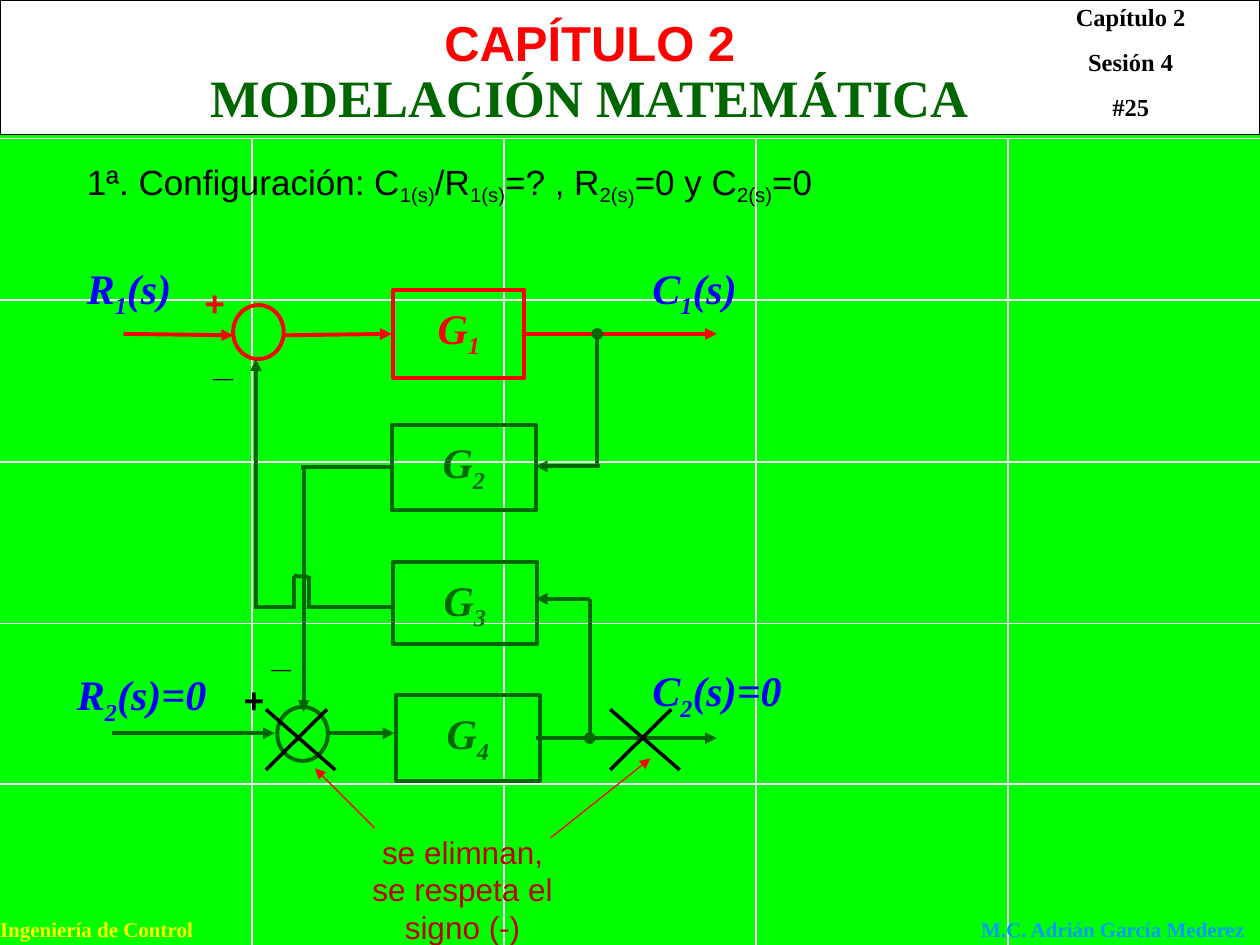
from lxml import etree
from pptx import Presentation
from pptx.dml.color import RGBColor
from pptx.enum import shapes, text
from pptx.oxml import ns
from pptx.util import Cm, Pt

RED = RGBColor(0xFF, 0x00, 0x00)
DARK_RED = RGBColor(0xC0, 0x00, 0x00)
GREEN = RGBColor(0x00, 0x66, 0x00)
LIME = RGBColor(0x00, 0xFF, 0x00)
BLUE = RGBColor(0x00, 0x00, 0xFF)
SKY = RGBColor(0x00, 0x99, 0xFF)
YELLOW = RGBColor(0xFF, 0xFF, 0x00)
BLACK = RGBColor(0x00, 0x00, 0x00)
WHITE = RGBColor(0xFF, 0xFF, 0xFF)
SERIF, SANS = "Times New Roman", "Arial"
LEFT, CENTER = text.PP_ALIGN.LEFT, text.PP_ALIGN.CENTER

prs = Presentation()
prs.slide_width, prs.slide_height = Cm(25.4), Cm(19.05)
s = prs.slides.add_slide(prs.slide_layouts[6])
s.background.fill.solid()
s.background.fill.fore_color.rgb = LIME


def write(sp, paragraphs, size, font, color, bold=False, italic=False, align=LEFT, gap=0):
    """Each paragraph is a list of (text, baseline percent) parts."""
    tf = sp.text_frame
    tf.word_wrap = True
    tf.vertical_anchor = text.MSO_ANCHOR.TOP
    for i, parts in enumerate(paragraphs):
        p = tf.add_paragraph() if i else tf.paragraphs[0]
        p.alignment = align
        if i:
            p.space_before = Pt(gap)
        for words, base in parts:
            r = p.add_run()
            r.text = words
            r.font.size, r.font.name = Pt(size), font
            r.font.bold, r.font.italic = bold, italic
            r.font.color.rgb = color
            if base:
                r.font._element.set("baseline", str(base * 1000))


def line(x1, y1, x2, y2, color, width, end=None):
    c = s.shapes.add_connector(shapes.MSO_CONNECTOR.STRAIGHT, Cm(x1), Cm(y1), Cm(x2), Cm(y2))
    c.line.color.rgb = color
    c.line.width = Pt(width)
    if end:
        etree.SubElement(c.line._get_or_add_ln(), ns.qn("a:tailEnd"), type=end)
    etree.SubElement(c._element.spPr, ns.qn("a:effectLst"))


# Background grid
for i in range(1, 5):
    line(5.08 * i, 2.79, 5.08 * i, 19.05, WHITE, 1)
for y in (2.79, 6.05, 9.32, 12.57, 15.8):
    line(0, y, 25.4, y, WHITE, 1)

# Banner
sp = s.shapes.add_shape(shapes.MSO_SHAPE.RECTANGLE, 0, 0, Cm(25.4), Cm(2.72))
sp.shadow.inherit = False
sp.fill.solid()
sp.fill.fore_color.rgb = WHITE
sp.line.color.rgb = BLACK
sp.line.width = Pt(0.75)

# Page texts: left, top, width, height, paragraphs, size, font, color, bold, align
heading = [("1ª. Configuración: C", 0), ("1(s)", -20), ("/R", 0), ("1(s)", -20), ("=? , R", 0),
           ("2(s", -20), (")", -25), ("=0 y C", 0), ("2(s)", -20), ("=0", 0)]
session = [[("Capítulo 2", 0)], [("Sesión 4", 0)], [("#25", 0)]]
for x, y, w, h, paragraphs, size, font, color, bold, align in (
    (-0.3, 18.36, 4.5, 0.76, [[("Ingeniería de Control", 0)]], 12, SERIF, YELLOW, True, CENTER),
    (19.53, 18.36, 5.87, 0.76, [[("M.C. Adrián García Mederez", 0)]], 12, SERIF, SKY, True, LEFT),
    (20.7, -0.08, 4.19, 2.67, session, 14, SERIF, BLACK, True, CENTER),
    (2.29, 0.13, 19.2, 1.45, [[("CAPÍTULO 2", 0)]], 28, SANS, RED, True, CENTER),
    (2.29, 1.19, 19.2, 1.52, [[("MODELACIÓN MATEMÁTICA", 0)]], 30, SERIF, GREEN, True, CENTER),
    (1.5, 3.12, 16, 1.22, [heading], 20, SANS, BLACK, False, LEFT),
    (7.14, 16.66, 4.37, 2.54, [[("se elimnan, se respeta el signo (-)", 0)]],
     18, SANS, DARK_RED, False, CENTER),
):
    sp = s.shapes.add_textbox(Cm(x), Cm(y), Cm(w), Cm(h))
    write(sp, paragraphs, size, font, color, bold, align=align, gap=8.8)

# Transfer function blocks
for number, x, y, w, h, color in (
    ("1", 7.93, 5.84, 2.64, 1.78, RED),
    ("2", 7.9, 8.56, 2.9, 1.73, GREEN),
    ("3", 7.92, 11.33, 2.9, 1.65, GREEN),
    ("4", 7.98, 14.02, 2.9, 1.73, GREEN),
):
    sp = s.shapes.add_shape(shapes.MSO_SHAPE.RECTANGLE, Cm(x), Cm(y), Cm(w), Cm(h))
    sp.shadow.inherit = False
    sp.fill.background()
    sp.line.color.rgb = color
    sp.line.width = Pt(2.25)
    sp.text_frame.margin_top = Cm(0.25)
    write(sp, [[("G", 0), (number, -25)]], 24, SERIF, color, True, True, CENTER)

# Summing points
for x, y, color in ((4.7, 6.15, RED), (5.59, 14.25, GREEN)):
    sp = s.shapes.add_shape(shapes.MSO_SHAPE.OVAL, Cm(x), Cm(y), Cm(1.02), Cm(1.09))
    sp.shadow.inherit = False
    sp.fill.background()
    sp.line.color.rgb = color
    sp.line.width = Pt(2.25)

# Signal paths
for x1, y1, x2, y2, color, end in (
    (2.49, 6.73, 4.7, 6.76, RED, "triangle"),
    (5.69, 6.76, 7.9, 6.73, RED, "triangle"),
    (10.59, 6.73, 14.45, 6.73, RED, "triangle"),
    (2.26, 14.78, 5.54, 14.78, GREEN, "triangle"),
    (6.58, 14.78, 7.95, 14.78, GREEN, "triangle"),
    (10.8, 14.88, 14.45, 14.88, GREEN, "triangle"),
    # G2 feedback
    (12.09, 9.4, 10.8, 9.4, GREEN, "triangle"),
    (12.04, 9.4, 12.04, 6.73, GREEN, "oval"),
    (6.07, 9.42, 7.9, 9.42, GREEN, None),
    (6.12, 9.45, 6.12, 14.35, GREEN, "triangle"),
    # G3 feedback, hopping over the G2 path
    (11.89, 12.07, 10.8, 12.07, GREEN, "triangle"),
    (11.89, 12.07, 11.89, 14.88, GREEN, "oval"),
    (7.92, 12.24, 6.25, 12.24, GREEN, None),
    (6.22, 12.27, 6.22, 11.61, GREEN, None),
    (5.92, 11.61, 6.22, 11.63, GREEN, None),
    (5.92, 12.27, 5.92, 11.61, GREEN, None),
    (5.13, 12.24, 5.94, 12.24, GREEN, None),
    (5.16, 12.27, 5.16, 7.24, GREEN, "triangle"),
):
    line(x1, y1, x2, y2, color, 2.25, end)

# Input and output labels
for x, y, w, name, number, rest in (
    (1.5, 5.16, 2.77, "R", "1", "(s)"),
    (12.9, 5.16, 2.79, "C", "1", "(s)"),
    (1.3, 13.36, 3.25, "R", "2", "(s)=0"),
    (12.9, 13.28, 3.58, "C", "2", "(s)=0"),
):
    sp = s.shapes.add_textbox(Cm(x), Cm(y), Cm(w), Cm(1.4))
    write(sp, [[(name, 0), (number, -25), (rest, 0)]], 24, SERIF, BLUE, True, True)

# Signs at the summing points
for x, y, sign, color in (
    (3.86, 5.56, "+", RED),
    (4.09, 6.76, "_", BLACK),
    (4.65, 13.56, "+", BLACK),
    (5.26, 12.62, "_", BLACK),
):
    sp = s.shapes.add_textbox(Cm(x), Cm(y), Cm(1.24), Cm(1.35))
    write(sp, [[(sign, 0)]], 20, SANS, color, True, True)

# Crosses over the eliminated parts, and arrows from the remark
for x in (5.36, 12.3):
    line(x, 14.3, x + 1.4, 15.52, BLACK, 2)
    line(x + 1.23, 14.3, x, 15.52, BLACK, 2)
line(7.55, 16.69, 6.35, 15.49, RED, 0.75, "triangle")
line(11.1, 16.89, 13.11, 15.29, RED, 0.75, "triangle")

prs.save("out.pptx")
